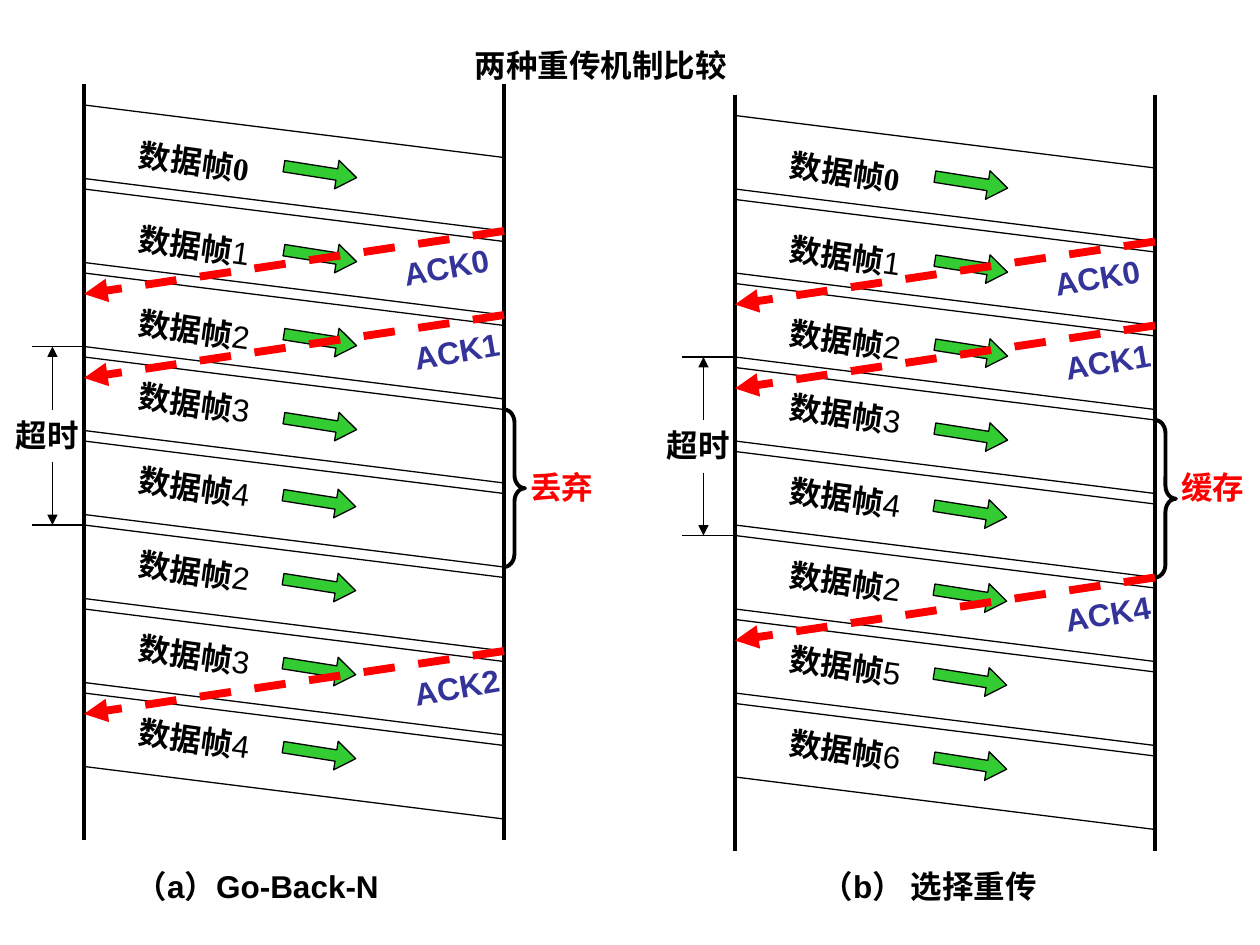
from lxml import etree
from pptx import Presentation
from pptx.dml.color import RGBColor
from pptx.enum.dml import MSO_LINE
from pptx.enum.shapes import MSO_CONNECTOR, MSO_SHAPE
from pptx.enum.text import MSO_ANCHOR, MSO_AUTO_SIZE, PP_ALIGN
from pptx.oxml.ns import qn
from pptx.util import Pt

STRAIGHT = MSO_CONNECTOR.STRAIGHT
ARROW, BRACE = MSO_SHAPE.RIGHT_ARROW, MSO_SHAPE.RIGHT_BRACE
DASH = MSO_LINE.DASH
TOP = MSO_ANCHOR.TOP
FIT, NO_FIT = MSO_AUTO_SIZE.SHAPE_TO_FIT_TEXT, MSO_AUTO_SIZE.NONE
LEFT, CENTER = PP_ALIGN.LEFT, PP_ALIGN.CENTER

COLORS = {"ink": "000000", "ack": "FF0000", "ack_text": "333399", "arrow": "33CC33"}
SANS, SERIF = "Arial", "Times New Roman"
PANEL_W, PANEL_H = 240, 432
STEP, FRAME_TOP, FRAME_H, DROP = 48, 12, 42, 30
TEXT_H = 29


def rgb(name):
    return RGBColor.from_string(COLORS[name])


def format_run(r, color="ink", font=SANS, bold=True):
    r.font.size = Pt(18)
    r.font.name = font
    r.font.bold = bold
    r.font.color.rgb = rgb(color)


def add_line(s, x1, y1, x2, y2, width=0.75, color="ink", dash=None, head=False):
    line = s.shapes.add_connector(STRAIGHT, Pt(x1), Pt(y1), Pt(x2), Pt(y2))
    line.line.color.rgb = rgb(color)
    line.line.width = Pt(width)
    if dash:
        line.line.dash_style = dash
    sp_pr = line._element.spPr
    if head:
        etree.SubElement(sp_pr.find(qn("a:ln")), qn("a:tailEnd"), type="triangle")
    etree.SubElement(sp_pr, qn("a:effectLst"))


def add_preset(s, preset, x, y, w, h, adjustments, width, fill=None, rotation=0):
    sp = s.shapes.add_shape(preset, Pt(x), Pt(y), Pt(w), Pt(h))
    sp.shadow.inherit = False
    for i, value in enumerate(adjustments):
        sp.adjustments[i] = value
    if fill:
        sp.fill.solid()
        sp.fill.fore_color.rgb = rgb(fill)
    else:
        sp.fill.background()
    sp.line.color.rgb = rgb("ink")
    sp.line.width = Pt(width)
    sp.rotation = rotation


def add_text(s, x, y, w, text, color="ink", font=SANS, rotation=0):
    sp = s.shapes.add_textbox(Pt(x), Pt(y), Pt(w), Pt(TEXT_H))
    sp.rotation = rotation
    tf = sp.text_frame
    tf.word_wrap = True
    tf.auto_size = FIT
    p = tf.paragraphs[0]
    p.text = text
    p.alignment = CENTER
    format_run(p.runs[0], color, font)
    return p


def add_title(s, x, y, w, text):
    sp = s.shapes.title
    sp.left, sp.top, sp.width, sp.height = Pt(x), Pt(y), Pt(w), Pt(TEXT_H)
    tf = sp.text_frame
    tf.text = text
    tf.word_wrap = False
    tf.auto_size = NO_FIT
    tf.vertical_anchor = TOP
    p = tf.paragraphs[0]
    p.alignment = LEFT
    format_run(p.runs[0])


def add_frames(s, x, y, numbers):
    for i, number in enumerate(numbers):
        top = y + FRAME_TOP + i * STEP
        for edge in (top, top + FRAME_H):
            add_line(s, x, edge, x + PANEL_W, edge + DROP)
        label_y = top + (18 if i < 3 else 12)
        if i == 0:
            add_text(s, x + 12, label_y, 102, f"数据帧{number}", font=SERIF, rotation=7.9)
        else:
            p = add_text(s, x + 12, label_y, 102, "数据帧", font=SERIF, rotation=7.9)
            r = p.add_run()
            r.text = str(number)
            format_run(r, bold=False)
        arrow_x, arrow_y = (114, 30) if i < 4 else (113.5, 26)
        add_preset(s, ARROW, x + arrow_x, top + arrow_y, 42, 16.5, (0.396, 0.691), 0.75,
                   "arrow", 9)


def add_acks(s, x, y, acks):
    for i, (slot, number) in enumerate(acks):
        sent = y + FRAME_TOP + FRAME_H + DROP + slot * STEP
        add_line(s, x + PANEL_W, sent, x, sent + 36, 4.5, "ack", DASH, True)
        add_text(s, x + (174 if i == 0 else 180), sent + 6, 66, f"ACK{number}",
                 "ack_text", rotation=350.1)


def add_timeout(s, x, y, h):
    for edge, inner in ((y, y + 36), (y + h, y + h - 36)):
        add_line(s, x + 18, edge, x + 48, edge)
        add_line(s, x + 30, inner, x + 30, edge, head=True)
    add_text(s, x, y + 36, 54, "超时")


def add_panel(s, x, y, numbers, acks, note, note_y, caption, caption_x):
    for pole in (x, x + PANEL_W):
        add_line(s, pole, y, pole, y + PANEL_H, 2.25)
    add_frames(s, x, y, numbers)
    add_acks(s, x, y, acks)
    add_timeout(s, x - 48, y + 150, 102)
    add_preset(s, BRACE, x + PANEL_W, y + 186, 12, 90, (0.625, 0.5), 2.25)
    add_text(s, x + PANEL_W + 6, note_y, 54, note, "ack")
    add_text(s, caption_x, 492, 198, caption)


def main():
    prs = Presentation()
    prs.slide_width, prs.slide_height = Pt(720), Pt(540)
    s = prs.slides.add_slide(prs.slide_layouts[5])
    add_title(s, 264, 22.5, 160, "两种重传机制比较")
    add_panel(s, 48, 48, (0, 1, 2, 3, 4, 2, 3, 4), ((0, 0), (1, 1), (5, 2)),
              "丢弃", 264, "（a）Go-Back-N", 48)
    add_panel(s, 420, 54, (0, 1, 2, 3, 4, 2, 5, 6), ((0, 0), (1, 1), (4, 4)),
              "缓存", 264, "（b） 选择重传", 432)
    prs.save("out.pptx")


if __name__ == "__main__":
    main()
